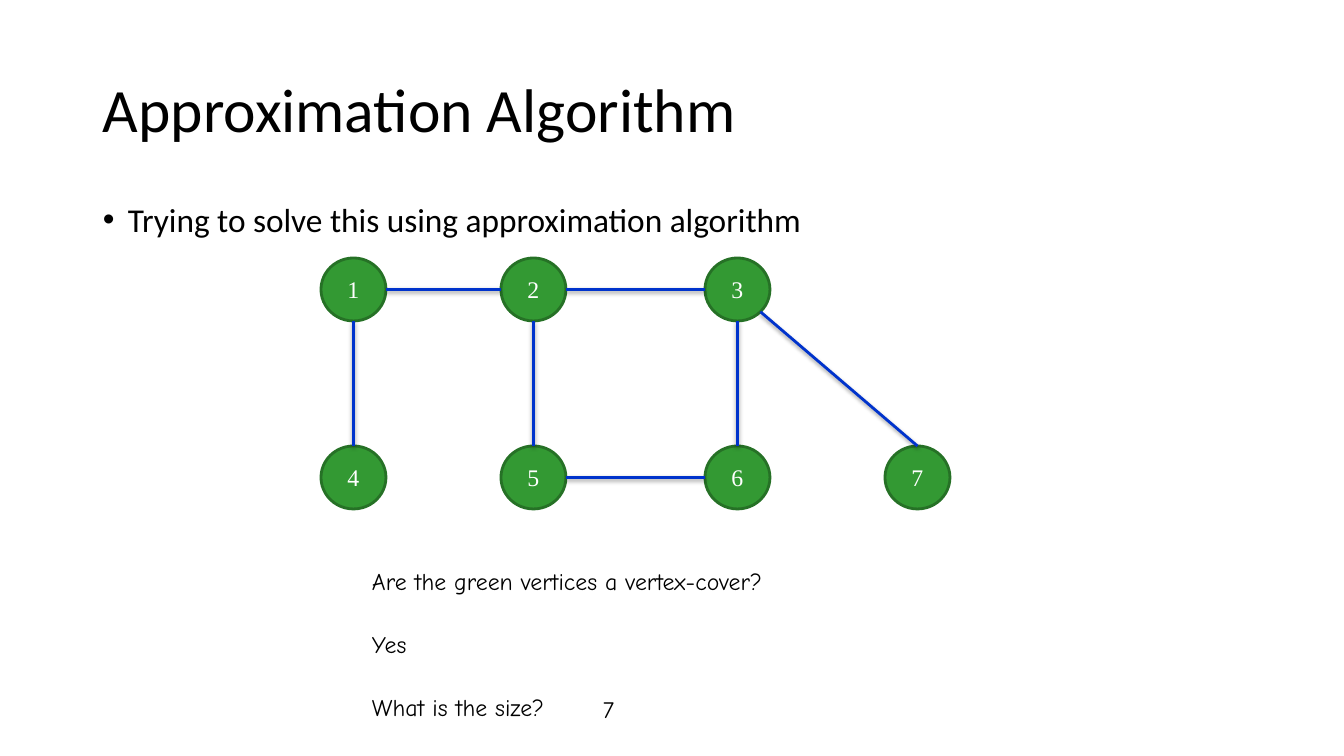
"""Build the vertex-cover slide on approximation algorithms."""
from math import cos, pi, sin

from lxml import etree
from pptx import Presentation
from pptx.dml.color import RGBColor
from pptx.enum.shapes import MSO_CONNECTOR, MSO_SHAPE
from pptx.enum.text import MSO_ANCHOR, MSO_AUTO_SIZE, PP_ALIGN
from pptx.oxml import parse_xml
from pptx.oxml.ns import nsdecls, qn
from pptx.util import Emu, Pt

COLORS = {"text": "000000", "vertex": "339933", "rim": "267126",
          "label": "FFFFFF", "edge": "0033CC", "shadow": "000000"}
VERTEX_W, VERTEX_H = 65, 63
SITES = {"right": (1, 0), "left": (-1, 0), "top": (0, -1), "bottom": (0, 1),
         "lower right": (cos(pi / 4), sin(pi / 4))}


def px(value):
    """Turn pixels into EMU."""
    return Emu(round(value * 914400 / 100.8))


def color(name):
    """Look up a palette colour."""
    return RGBColor.from_string(COLORS[name])


def write(shape, text, size, font, ink="text", anchor=MSO_ANCHOR.TOP,
          align=PP_ALIGN.LEFT, inset=10):
    """Write one formatted line into a shape and return its paragraph."""
    frame = shape.text_frame
    frame.word_wrap = True
    frame.auto_size = MSO_AUTO_SIZE.NONE
    frame.vertical_anchor = anchor
    frame.margin_left = frame.margin_right = px(inset)
    frame.margin_top = frame.margin_bottom = px(5)
    paragraph = frame.paragraphs[0]
    paragraph.alignment = align
    run = paragraph.add_run()
    run.text = text
    run.font.size, run.font.name = Pt(size), font
    run.font.color.rgb = color(ink)
    return paragraph


def add_title(slide, box, text):
    """Place and format the title placeholder."""
    title = slide.shapes.title
    title.left, title.top, title.width, title.height = map(px, box)
    write(title, text, 44, "Calibri", anchor=MSO_ANCHOR.MIDDLE).line_spacing = 0.9


def add_bullet(slide, box, text):
    """Add the bulleted statement below the title."""
    paragraph = write(slide.shapes.add_textbox(*map(px, box)), text, 23.8, "Calibri")
    paragraph.line_spacing = 0.8
    paragraph.space_before = Pt(10)
    props = paragraph._p.get_or_add_pPr()
    props.set("marL", str(px(25)))
    props.set("indent", str(-px(25)))
    etree.SubElement(props, qn("a:buFont")).set("typeface", "Arial")
    etree.SubElement(props, qn("a:buChar")).set("char", "•")


def add_vertex(slide, center, label):
    """Draw one numbered vertex around its center."""
    x, y = center
    vertex = slide.shapes.add_shape(
        MSO_SHAPE.OVAL, *map(px, (x - VERTEX_W / 2, y - VERTEX_H / 2, VERTEX_W, VERTEX_H)))
    vertex.shadow.inherit = False
    vertex.fill.solid()
    vertex.fill.fore_color.rgb = color("vertex")
    vertex.line.color.rgb = color("rim")
    vertex.line.width = Pt(2)
    write(vertex, label, 17, "Times New Roman", "label",
          MSO_ANCHOR.MIDDLE, PP_ALIGN.CENTER, 11)


def add_edge(slide, start, start_site, end, end_site):
    """Join the rims of two vertices with a softly shadowed line."""
    ends = [px(c + half * d)
            for center, site in ((start, start_site), (end, end_site))
            for c, half, d in zip(center, (VERTEX_W / 2, VERTEX_H / 2), SITES[site])]
    edge = slide.shapes.add_connector(MSO_CONNECTOR.STRAIGHT, *ends)
    edge.line.color.rgb = color("edge")
    edge.line.width = Pt(2)
    edge._element.spPr.append(parse_xml(
        f'<a:effectLst {nsdecls("a")}><a:outerShdw blurRad="{Pt(3.1)}" dist="{Pt(1.6)}" '
        f'dir="5400000" rotWithShape="0"><a:srgbClr val="{COLORS["shadow"]}">'
        '<a:alpha val="38000"/></a:srgbClr></a:outerShdw></a:effectLst>'))


def add_graph(slide, box):
    """Draw the seven-vertex graph inside its box."""
    left, top, width, height = box
    columns = [left + VERTEX_W / 2 + offset for offset in (0, 180, 384)]
    columns.append(left + width - VERTEX_W / 2)
    rows = top + VERTEX_H / 2, top + height - VERTEX_H / 2
    centers = {n: (columns[n - 1], rows[0]) for n in (1, 2, 3)}
    centers.update({n: (columns[n - 4], rows[1]) for n in (4, 5, 6, 7)})
    for number, center in centers.items():
        add_vertex(slide, center, str(number))
    edges = [(a, "right", b, "left") for a, b in ((1, 2), (2, 3), (5, 6))]
    edges += [(n, "bottom", n + 3, "top") for n in (1, 2, 3)]
    edges.append((3, "lower right", 7, "top"))
    for start, start_site, end, end_site in edges:
        add_edge(slide, centers[start], start_site, centers[end], end_site)


def add_questions(slide, box):
    """Stack the questions and put the size beside the last one."""
    left, top, width, height = box
    lines = ("Are the green vertices a vertex-cover?", "Yes", "What is the size?")
    notes = [(left, top + 63 * i, text) for i, text in enumerate(lines)]
    notes.append((left + 231, top + 128, "7"))
    for x, y, text in notes:
        note = slide.shapes.add_textbox(*map(px, (x, y, width, height)))
        write(note, text, 17, "Comic Neue", inset=11)


def main():
    """Assemble and save the slide."""
    deck = Presentation()
    deck.slide_width, deck.slide_height = px(1344), px(756)
    slide = deck.slides.add_slide(deck.slide_layouts[5])
    add_title(slide, (93, 40, 1159, 146), "Approximation Algorithm")
    add_bullet(slide, (93, 202, 732, 56), "Trying to solve this using approximation algorithm")
    add_graph(slide, (321, 258, 629, 251))
    add_questions(slide, (361, 562, 462, 40))
    deck.save("out.pptx")


main()
